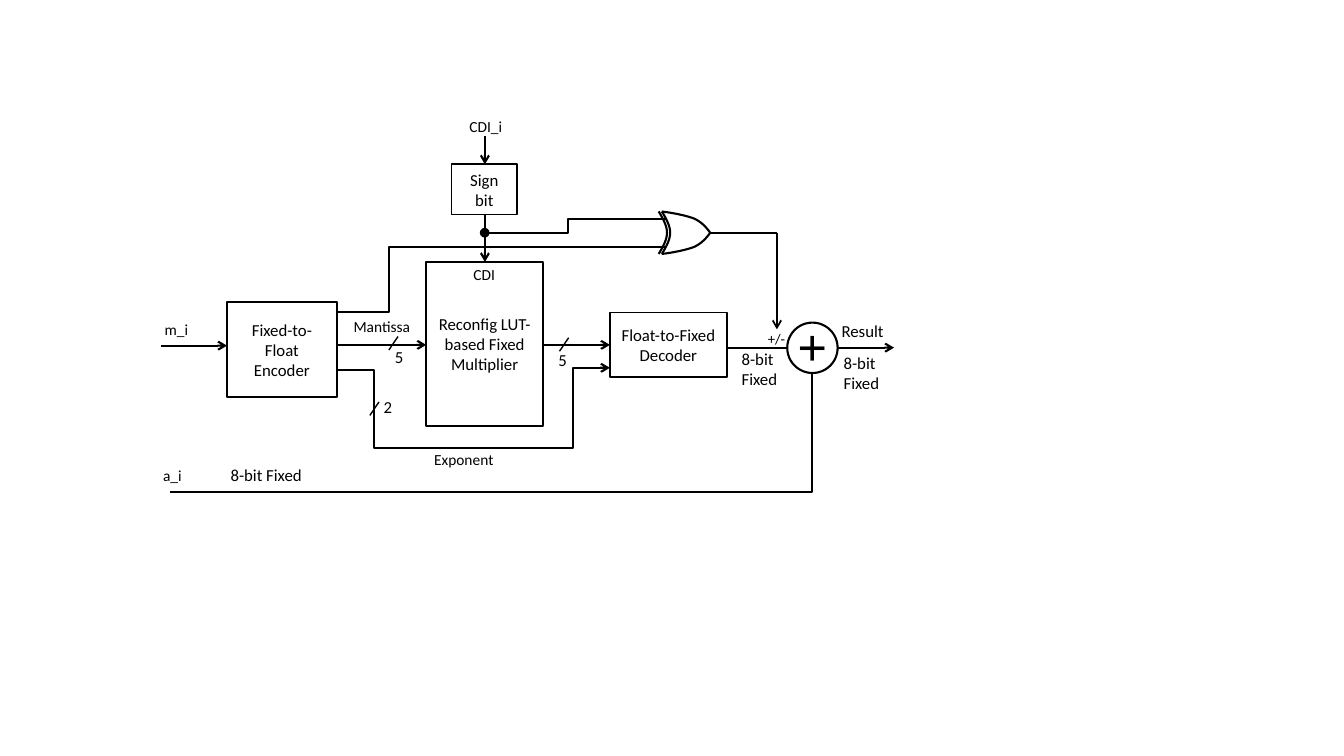
from lxml import etree
from pptx import Presentation, util as u
from pptx.dml.color import RGBColor
from pptx.enum import shapes, text
from pptx.oxml.ns import qn

COLORS = {"ink": "000000", "paper": "FFFFFF"}
BODY_FONT, SYMBOL_FONT = "Calibri", "Arial"
BODY, SMALL = 12, 11


def color(name):
    return RGBColor.from_string(COLORS[name])


class Region:
    """Draws parts at centimetre offsets from the corner of its box."""

    def __init__(self, page, left, top):
        self.page, self.left, self.top = page, left, top

    def at(self, x, y):
        return u.Cm(self.left + x), u.Cm(self.top + y)

    def ink(self, item, weight):
        item.line.color.rgb = color("ink")
        item.line.width = u.Pt(weight)

    def set_words(self, frame, words, size, font, align):
        frame.word_wrap = True
        frame.text = words
        for para in frame.paragraphs:
            para.alignment = align
            for span in para.runs:
                span.font.size, span.font.name = u.Pt(size), font
                span.font.color.rgb = color("ink")

    def shape(self, kind, x, y, width, height, weight, fill=None):
        item = self.page.shapes.add_shape(
            kind, *self.at(x, y), u.Cm(width), u.Cm(height))
        item.shadow.inherit = False
        if fill:
            item.fill.solid()
            item.fill.fore_color.rgb = color(fill)
        else:
            item.fill.background()
        self.ink(item, weight)
        return item

    def block(self, words, x, y, width, height, weight=1.25):
        item = self.shape(shapes.MSO_SHAPE.RECTANGLE, x, y, width, height,
                          weight, "paper")
        item.text_frame.vertical_anchor = text.MSO_ANCHOR.MIDDLE
        self.set_words(item.text_frame, words, BODY, BODY_FONT,
                       text.PP_ALIGN.CENTER)

    def label(self, words, x, y, width=2.03, size=BODY, height=0.75,
              font=BODY_FONT, align=text.PP_ALIGN.LEFT):
        box = self.page.shapes.add_textbox(
            *self.at(x, y), u.Cm(width), u.Cm(height))
        self.set_words(box.text_frame, words, size, font, align)

    def wire(self, start, end, arrow=False, bend=None, weight=1.5):
        """Straight line, or an elbow turning at the share bend of its width."""
        kinds = shapes.MSO_CONNECTOR
        kind = kinds.STRAIGHT if bend is None else kinds.ELBOW
        line = self.page.shapes.add_connector(
            kind, *self.at(*start), *self.at(*end))
        self.ink(line, weight)
        props = line.element.spPr
        if arrow:
            etree.SubElement(props.find(qn("a:ln")), qn("a:tailEnd"),
                             type="arrow")
        if bend is not None:
            etree.SubElement(props.find(".//" + qn("a:avLst")), qn("a:gd"),
                             name="adj1", fmla=f"val {round(bend * 100000)}")
        etree.SubElement(props, qn("a:effectLst"))

    def slash(self, x, y):
        self.wire((x, y), (x - 0.23, y + 0.34), weight=1)

    def curve(self, start, *segments):
        """Open outline through cubic segments of two handles and an end."""
        steps, points = 12, [start]
        for first, second, end in segments:
            origin = points[-1]
            for step in range(1, steps + 1):
                t = step / steps
                s = 1 - t
                points.append([
                    s**3 * a + 3 * s * s * t * b + 3 * s * t * t * c + t**3 * d
                    for a, b, c, d in zip(origin, first, second, end)])
        spots = [self.at(*point) for point in points]
        builder = self.page.shapes.build_freeform(*spots[0])
        builder.add_line_segments(spots[1:], close=False)
        item = builder.convert_to_shape()
        item.shadow.inherit = False
        item.fill.background()
        self.ink(item, 1.5)


def draw_datapath(page, left, top):
    area = Region(page, left, top)
    # Processing blocks
    area.block("Fixed-to-Float Encoder", 1.82, 1.12, 2.77, 2.39)
    area.block("Float-to-Fixed Decoder", 11.47, 1.37, 2.95, 1.63, 1)
    area.block("Reconfig LUT-based Fixed Multiplier", 6.84, 0.1, 2.95, 4.14)
    # Input and mantissa wires
    area.wire((0.16, 2.21), (1.82, 2.21), arrow=True)
    for start, end in ((4.59, 6.84), (9.79, 11.47)):
        area.wire((start, 2.19), (end, 2.19), arrow=True)
    # Exponent wire around the multiplier
    area.wire((4.56, 2.82), (8.6, 4.8), bend=0.237)
    area.wire((8.6, 4.8), (11.47, 2.77), arrow=True, bend=0.678)
    # Bus widths
    for width, slash, spot in (("5", (6.13, 1.98), (5.8, 2.11)),
                               ("2", (5.65, 3.63), (5.52, 3.38)),
                               ("5", (10.43, 2.01), (9.92, 2.19))):
        area.slash(*slash)
        area.label(width, *spot, 0.69)
    # Signal names
    for name, x, y in (("m_i", 0, 1.45), ("Mantissa", 4.76, 1.37),
                       ("Exponent", 6.79, 4.73), ("CDI", 7.78, 0.05)):
        area.label(name, x, y, size=SMALL)


def draw_sign_path(page, left, top):
    area = Region(page, left, top)
    # Sign bit block between its input and the multiplier
    area.label("CDI_i", 3.18, 0.02, 1.65, SMALL)
    area.block("Sign bit", 2.98, 1.34, 1.65, 1.27)
    for start, end in ((0.63, 1.34), (2.61, 3.8)):
        area.wire((3.82, start), (3.82, end), arrow=True)
    # Both signs lead to the gate
    area.wire((0.06, 5.07), (8.08, 3.42), bend=0.168)
    area.wire((3.82, 3.07), (8.03, 2.71), bend=0.5)
    area.shape(shapes.MSO_SHAPE.OVAL, 3.72, 2.97, 0.19, 0.19, 1.5, "ink")


def draw_xor_gate(page, left, top):
    area = Region(page, left, top)
    height = 1.07
    middle = height / 2
    # Leads
    for y in (0.18, height - 0.18):
        area.wire((0, y), (0.36, y))
    area.wire((1.47, middle), (1.83, middle))
    # Front edges, mirrored about the middle
    for mirror in (lambda x, y: (x, y), lambda x, y: (x, height - y)):
        area.curve(mirror(0.25, 0),
                   (mirror(0.56, 0.04), mirror(0.86, 0.1), mirror(1.07, 0.18)),
                   (mirror(1.27, 0.28), mirror(1.37, 0.4), (1.47, middle)))
    # Double back edge
    for x in (0.25, 0.17):
        area.curve((x, 0),
                   ((x + 0.11, 0.18), (x + 0.21, 0.36), (x + 0.21, middle)),
                   ((x + 0.21, 0.71), (x + 0.11, 0.89), (x, height)))
    # Output down to the adder
    area.wire((1.83, middle), (3.15, middle), weight=1.25)
    area.wire((3.15, middle), (3.15, 2.97), arrow=True, weight=1.25)


def draw_adder(page, left, top):
    area = Region(page, left, top)
    # Adder symbol
    area.shape(shapes.MSO_SHAPE.OVAL, 16.04, 0.23, 1.27, 1.27, 1.5)
    area.label("+", 16.05, -0.08, 1.04, 36, 1.75, SYMBOL_FONT,
               text.PP_ALIGN.CENTER)
    # Decoder input, result output and operand a_i
    area.wire((14.54, 0.86), (16.04, 0.86))
    area.wire((17.31, 0.86), (18.73, 0.86), arrow=True)
    area.wire((16.67, 1.5), (0.49, 4.5), bend=0)
    # Signal names
    area.label("+/-", 15.3, 0.28, 0.97, 10.5)
    area.label("Result", 17.16, 0.05)
    area.label("a_i", 0.06, 3.71, size=SMALL)
    for x, y, width in ((14.64, 0.76, 1.45), (17.21, 0.86, 1.45),
                        (1.76, 3.68, 2.84)):
        area.label("8-bit Fixed", x, y, width)


deck = Presentation()
deck.slide_width, deck.slide_height = u.Cm(33.87), u.Cm(19.05)
page = deck.slides.add_slide(deck.slide_layouts[6])
page.background.fill.solid()
page.background.fill.fore_color.rgb = color("paper")

draw_datapath(page, 3.9, 6.5)
draw_sign_path(page, 8.4, 2.8)
draw_xor_gate(page, 16.43, 5.33)
draw_adder(page, 3.8, 7.9)

deck.save("out.pptx")
